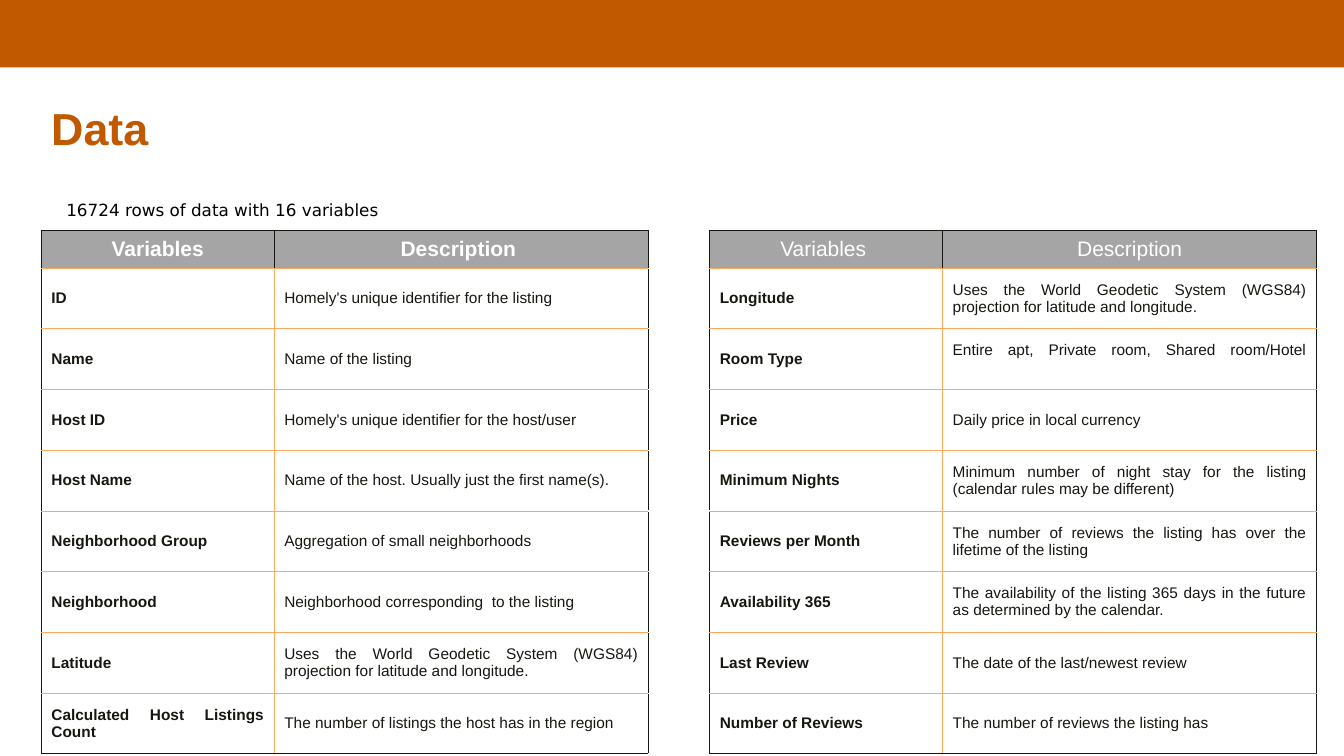
from copy import deepcopy
from lxml.etree import SubElement
from pptx import Presentation
from pptx.dml.color import RGBColor
from pptx.enum.shapes import MSO_SHAPE as SHAPE
from pptx.enum.text import MSO_ANCHOR as ANCHOR, PP_ALIGN as ALIGN
from pptx.oxml.ns import qn
from pptx.util import Inches, Pt

W, H = 13.33, 7.5
ORANGE = RGBColor(0xC0, 0x59, 0x00)
RULE = RGBColor(0xFF, 0xA8, 0x5F)
INK = RGBColor(0x18, 0x16, 0x10)
GRAY = RGBColor(0xA5, 0xA5, 0xA5)
WHITE = RGBColor(0xFF, 0xFF, 0xFF)
BLACK = RGBColor(0x00, 0x00, 0x00)

COLUMNS = (2.31, 3.71, 0.61, 2.31, 3.71)
GAP = 2
HEADER_H = 0.37
HEADER = (" Variables ", "Description ", "", "Variables ", "Description")
LEFT = (
    ("ID", "Homely's unique identifier for the listing"),
    ("Name", "Name of the listing"),
    ("Host ID", "Homely's unique identifier for the host/user"),
    ("Host Name", "Name of the host. Usually just the first name(s)."),
    ("Neighborhood Group", "Aggregation of small neighborhoods"),
    ("Neighborhood", "Neighborhood corresponding  to the listing"),
    ("Latitude", "Uses the World Geodetic System (WGS84) projection for latitude and longitude."),
    ("Calculated Host Listings Count", "The number of listings the host has in the region"),
)
RIGHT = (
    ("Longitude", "Uses the World Geodetic System (WGS84) projection for latitude and longitude."),
    ("Room Type", "Entire apt, Private room, Shared room/Hotel\v"),
    ("Price", "Daily price in local currency"),
    ("Minimum Nights", "Minimum number of night stay for the listing (calendar rules may be different)"),
    ("Reviews per Month", "The number of reviews the listing has over the lifetime of the listing"),
    ("Availability 365", "The availability of the listing 365 days in the future as determined by the calendar."),
    ("Last Review", "The date of the last/newest review"),
    ("Number of Reviews", "The number of reviews the listing has"),
)


def write(tf, text, size, color=INK, font="Arial", bold=False, align=ALIGN.LEFT, spacing=None):
    p = tf.paragraphs[0]
    p.text = text
    p.alignment = align
    p.line_spacing = spacing
    for r in p.runs:
        r.font.name, r.font.size, r.font.bold = font, Pt(size), bold
        r.font.color.rgb = color
    for br in p._p.findall(qn("a:br")):
        br.append(deepcopy(p.runs[0]._r.rPr))
    SubElement(p._p, qn("a:endParaRPr"), sz=str(size * 100))


def add_text(slide, box, text, inset_y, **style):
    sp = slide.shapes.add_textbox(*map(Inches, box))
    tf = sp.text_frame
    tf.word_wrap = True
    tf.margin_top = tf.margin_bottom = Inches(inset_y)
    write(tf, text, **style)


def set_borders(cell, borders):
    tcPr = cell._tc.get_or_add_tcPr()
    for i, (side, (color, width)) in enumerate(borders.items()):
        ln = SubElement(tcPr, qn(f"a:ln{side}"), w=str(Pt(width)))
        SubElement(SubElement(ln, qn("a:solidFill")), qn("a:srgbClr"), val=str(color))
        tcPr.insert(i, ln)


def add_banner(slide, box):
    sp = slide.shapes.add_shape(SHAPE.RECTANGLE, *map(Inches, box))
    sp.shadow.inherit = False
    sp.fill.solid()
    sp.fill.fore_color.rgb = ORANGE
    sp.line.fill.background()


def add_variables_table(slide, box):
    rows = [HEADER] + [(*a, "", *b) for a, b in zip(LEFT, RIGHT)]
    last = len(rows) - 1
    table = slide.shapes.add_table(len(rows), len(COLUMNS), *map(Inches, box)).table
    table.first_row = table.horz_banding = False
    for col, share in zip(table.columns, COLUMNS):
        col.width = Inches(box[2] * share / sum(COLUMNS))
    for i, row in enumerate(table.rows):
        row.height = Inches((box[3] - HEADER_H) / last if i else HEADER_H)

    outer, inner = (INK, 1), (RULE, 0.75)
    for i, texts in enumerate(rows):
        divider = inner if i else (INK, 0.75)
        for j, text in enumerate(texts):
            cell = table.cell(i, j)
            cell.vertical_anchor = ANCHOR.MIDDLE
            cell.fill.background()
            if j == GAP:
                write(cell.text_frame, text, 11)
                set_borders(cell, {"L": outer, "R": outer})
                continue
            is_name = j in (0, GAP + 1)
            if i == 0:
                cell.fill.solid()
                cell.fill.fore_color.rgb = GRAY
                write(cell.text_frame, text, 15, WHITE, bold=j < GAP, align=ALIGN.CENTER)
            else:
                write(cell.text_frame, text, 11, bold=is_name, align=ALIGN.JUSTIFY)
            set_borders(cell, {
                "L": outer if is_name else divider,
                "R": divider if is_name else outer,
                "T": inner if i else outer,
                "B": outer if i == last else inner,
            })


def build_data_slide(prs):
    slide = prs.slides.add_slide(prs.slide_layouts[6])
    add_banner(slide, (0, 0, W, 0.67))
    add_text(slide, (0.41, 1.01, 11.5, 1.44), "Data", 0.05,
             size=32, color=ORANGE, bold=True, spacing=0.9)
    add_variables_table(slide, (0.41, 2.29, sum(COLUMNS), 5.19))
    add_text(slide, (0.56, 1.88, 10.7, 0.4), "16724 rows of data with 16 variables", 0.1,
             size=12, color=BLACK, font="DejaVu Sans")


def main():
    prs = Presentation()
    prs.slide_width, prs.slide_height = Inches(W), Inches(H)
    build_data_slide(prs)
    prs.save("out.pptx")


if __name__ == "__main__":
    main()
